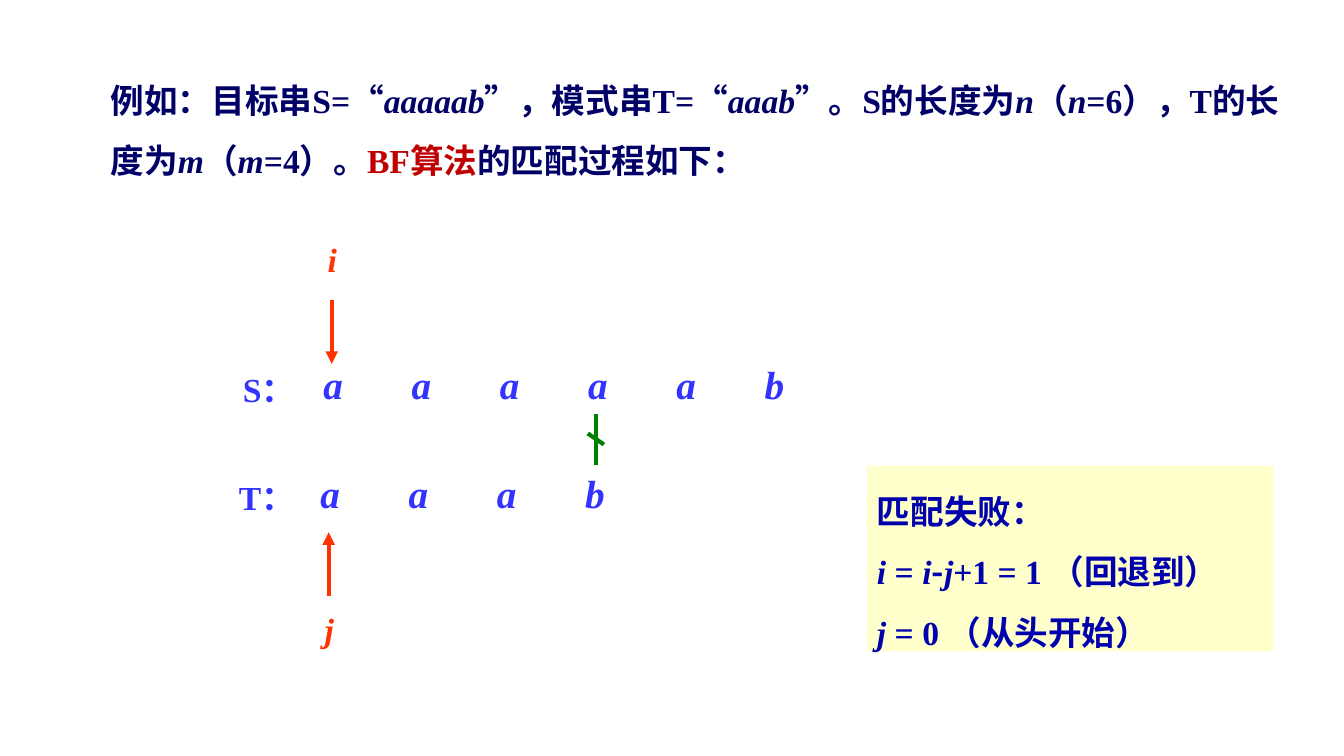
from pptx import Presentation
from pptx.dml.color import RGBColor
from pptx.enum.shapes import MSO_CONNECTOR as Connector, MSO_SHAPE as Shape
from pptx.enum.text import MSO_ANCHOR as Anchor, PP_ALIGN as Align
from pptx.oxml.ns import qn
from pptx.util import Inches, Pt
from lxml.etree import SubElement

NAVY = RGBColor(0x00, 0x00, 0x66)
DARK_RED = RGBColor(0xC0, 0x00, 0x00)
BLUE = RGBColor(0x33, 0x33, 0xFF)
ORANGE = RGBColor(0xFF, 0x33, 0x00)
GREEN = RGBColor(0x00, 0x80, 0x00)
NOTE_BLUE = RGBColor(0x00, 0x00, 0xAD)
CREAM = RGBColor(0xFF, 0xFF, 0xCC)
SERIF, SANS = "Times New Roman", "Noto Sans CJK SC"
ITALIC = {"italic": True}
LETTER_PITCH = Pt(63)

# Content: each paragraph is a list of (text, format) spans
EXAMPLE = [[
    ("例如：目标串S=“", {}), ("aaaaab", ITALIC), ("”，模式串T=“", {}),
    ("aaab", ITALIC), ("”。S的长度为", {}), ("n", ITALIC), ("（", {}),
    ("n", ITALIC), ("=6），T的长度为", {}), ("m", ITALIC), ("（", {}),
    ("m", ITALIC), ("=4）。", {}), ("BF算法", {"color": DARK_RED}),
    ("的匹配过程如下：", {}),
]]
MISMATCH = [
    [("匹配失败：", {})],
    [("i ", ITALIC), ("= ", {}), ("i", ITALIC), ("-", {"font": SANS}),
     ("j", ITALIC), ("+1 = 1 （回退到）", {})],
    [("j ", ITALIC), ("= 0 （从头开始）", {})],
]
# label, label box, letters, letters box
STRINGS = [
    ("S：", (2.31, 3.61, 0.81, 0.5), "aaaaab", (3.11, 3.53, 6.31, 0.57)),
    ("T：", (2.27, 4.68, 0.85, 0.5), "aaab", (3.08, 4.61, 4.18, 0.57)),
]
# name, name box, arrow start, arrow end
POINTERS = [
    ("i", (3.06, 2.32, 0.47, 0.5), (3.29, 2.98), (3.29, 3.61)),
    ("j", (3.03, 5.99, 0.47, 0.5), (3.26, 5.91), (3.26, 5.28)),
]
UNEQUAL_STROKES = [((5.91, 4.11), (5.91, 4.61)), ((5.83, 4.3), (5.99, 4.41))]

deck = Presentation()
deck.slide_width, deck.slide_height = Inches(13.33), Inches(7.5)
page = deck.slides.add_slide(deck.slide_layouts[6])


def write(frame, paragraphs, *, color, size=24, italic=False, align=Align.LEFT,
          spacing=None, wrap=True, tabs=0):
    frame.word_wrap = wrap
    frame.vertical_anchor = Anchor.TOP
    for index, spans in enumerate(paragraphs):
        para = frame.paragraphs[0] if index == 0 else frame.add_paragraph()
        if tabs:
            stops = SubElement(para._p.get_or_add_pPr(), qn("a:tabLst"))
            for step in range(1, tabs + 1):
                SubElement(stops, qn("a:tab"), pos=str(step * LETTER_PITCH), algn="l")
        para.alignment = align
        if spacing:
            para.line_spacing = spacing
        for text, style in spans:
            span = para.add_run()
            span.text = text
            font = span.font
            font.name = style.get("font", SERIF)
            font.size, font.bold = Pt(size), True
            font.italic = style.get("italic", italic)
            font.color.rgb = style.get("color", color)
            SubElement(font._element, qn("a:ea"), typeface=SANS)
            font._element.set("lang", "zh-CN")


def add_text(place, paragraphs, **style):
    box = page.shapes.add_textbox(*map(Inches, place))
    write(box.text_frame, paragraphs, **style)


def add_line(start, end, color, arrow=False):
    line = page.shapes.add_connector(Connector.STRAIGHT, *map(Inches, start + end))
    line.line.color.rgb, line.line.width = color, Pt(3)
    if arrow:
        SubElement(line.line._get_or_add_ln(), qn("a:tailEnd"), type="triangle")
    SubElement(line._element.spPr, qn("a:effectLst"))


# Problem statement
add_text((1, 0.54, 11.92, 1.24), EXAMPLE, color=NAVY, spacing=1.5)

# Target and pattern strings, one letter per tab stop
for label, label_place, letters, letters_place in STRINGS:
    add_text(letters_place, [[("\t".join(letters), ITALIC)]], color=BLUE, size=28,
             tabs=len(letters) - 1)
    add_text(label_place, [[(label, {})]], color=BLUE, wrap=False)

# Index pointers
for name, name_place, start, end in POINTERS:
    add_line(start, end, ORANGE, arrow=True)
    add_text(name_place, [[(name, ITALIC)]], color=ORANGE, align=Align.CENTER)

# Not-equal mark between the mismatched letters
for start, end in UNEQUAL_STROKES:
    add_line(start, end, GREEN)

# Mismatch note
note = page.shapes.add_shape(Shape.RECTANGLE, *map(Inches, (8.6, 4.62, 4.03, 1.84)))
note.shadow.inherit = False
note.fill.solid()
note.fill.fore_color.rgb = CREAM
note.line.fill.background()
write(note.text_frame, MISMATCH, color=NOTE_BLUE, spacing=1.5)

deck.save("out.pptx")
